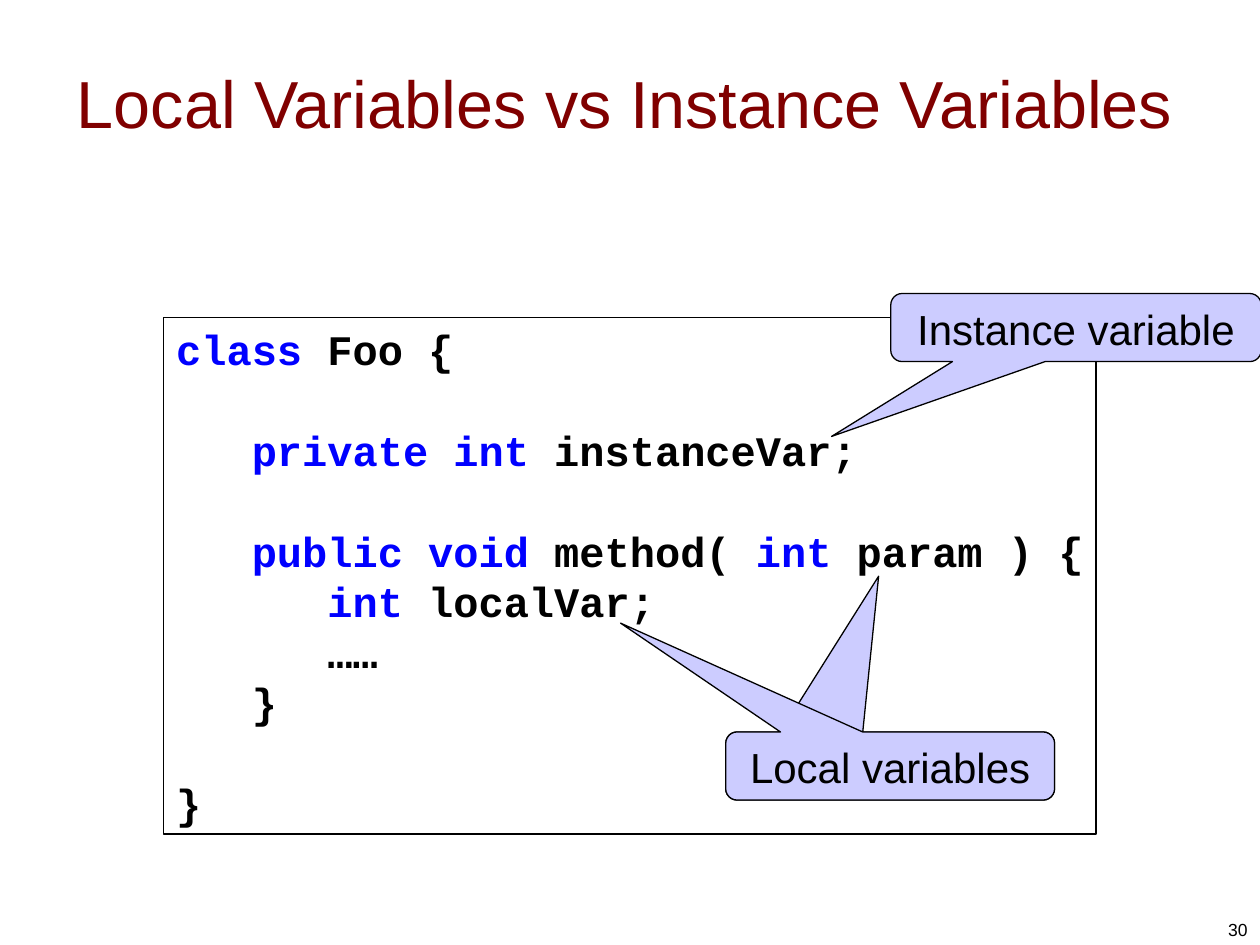
"""Build a slide contrasting local variables with instance variables."""
import dataclasses
import typing

import pptx
import pptx.dml.color
import pptx.enum.shapes
import pptx.enum.text
import pptx.util

Inches = pptx.util.Inches
Pt = pptx.util.Pt
Align = pptx.enum.text.PP_ALIGN
Anchor = pptx.enum.text.MSO_ANCHOR
Shape = pptx.enum.shapes.MSO_SHAPE


@dataclasses.dataclass(frozen=True)
class Theme:
    title: str = "800000"
    ink: str = "000000"
    keyword: str = "0000FF"
    callout: str = "CCCCFF"
    sans: str = "Arial"
    mono: str = "Courier New"
    title_size: float = 38
    text_size: float = 24
    number_size: float = 10
    line_width: float = 0.75
    code_pitch: float = 28.8
    code_indent: float = 0.6


class Box(typing.NamedTuple):
    left: float
    top: float
    width: float
    height: float

    def lengths(self) -> list:
        return [Inches(value) for value in self]


@dataclasses.dataclass(frozen=True)
class CodeLine:
    segments: tuple
    level: int = 0
    blank_before: bool = False


@dataclasses.dataclass(frozen=True)
class Callout:
    label: str
    box: Box
    pointer: tuple


THEME = Theme()
KEYWORDS = {"class", "private", "public", "int", "void"}
CODE_BOX = Box(1.3, 2.52, 7.4, 4.1)
CODE = (
    CodeLine(("class", " Foo {")),
    CodeLine(("private int", " instanceVar;"), 1, True),
    CodeLine(("public void", " method( ", "int", " param ) {"), 1, True),
    CodeLine(("int", " localVar;"), 2),
    CodeLine(("……",), 2),
    CodeLine(("}",), 1),
    CodeLine(("}",), 0, True),
)
LOCAL_BOX = Box(5.76, 5.81, 2.61, 0.54)
CALLOUTS = (
    Callout("Instance variable", Box(7.07, 2.33, 2.94, 0.54), (-0.66, 1.6)),
    Callout("Local variables", LOCAL_BOX, (-0.035, -2.79)),
    Callout("Local variables", LOCAL_BOX, (-0.82, -2.1)),
)


def apply(target: typing.Any, values: dict) -> None:
    """Set each named attribute on the target."""
    for name, value in values.items():
        setattr(target, name, value)


def add_run(paragraph: typing.Any, text: str, face: str, size: float,
            color: str, bold: bool = False) -> None:
    """Append a formatted run to the paragraph."""
    run = paragraph.add_run()
    run.text = text
    apply(run.font, {"name": face, "size": Pt(size), "bold": bold})
    run.font.color.rgb = pptx.dml.color.RGBColor.from_string(color)


def set_frame(shape: typing.Any, anchor: typing.Any, right: float = 0.1) -> typing.Any:
    """Set the margins and anchor of a text frame and return it."""
    frame = shape.text_frame
    apply(frame, {
        "word_wrap": True,
        "auto_size": pptx.enum.text.MSO_AUTO_SIZE.NONE,
        "vertical_anchor": anchor,
        "margin_left": Inches(0.1),
        "margin_right": Inches(right),
        "margin_top": Inches(0.05),
        "margin_bottom": Inches(0.05),
    })
    return frame


def add_outlined(slide: typing.Any, kind: typing.Any, box: Box) -> typing.Any:
    """Add a preset shape with a thin outline and no shadow."""
    shape = slide.shapes.add_shape(kind, *box.lengths())
    shape.shadow.inherit = False
    shape.line.width = Pt(THEME.line_width)
    shape.line.color.rgb = pptx.dml.color.RGBColor.from_string(THEME.ink)
    return shape


def add_title(slide: typing.Any, text: str, box: Box) -> None:
    """Place and fill the title placeholder."""
    title = slide.shapes.title
    apply(title, dict(zip(("left", "top", "width", "height"), box.lengths())))
    paragraph = set_frame(title, Anchor.MIDDLE).paragraphs[0]
    paragraph.alignment = Align.LEFT
    add_run(paragraph, text, THEME.sans, THEME.title_size, THEME.title)


def add_code(slide: typing.Any, lines: tuple, box: Box) -> None:
    """Draw the code listing with coloured keywords."""
    panel = add_outlined(slide, Shape.RECTANGLE, box)
    panel.fill.background()
    frame = set_frame(panel, Anchor.TOP, right=0)
    for index, line in enumerate(lines):
        paragraph = frame.add_paragraph() if index else frame.paragraphs[0]
        apply(paragraph, {
            "alignment": Align.LEFT,
            "line_spacing": Pt(THEME.code_pitch),
            "space_before": Pt(THEME.code_pitch * line.blank_before),
        })
        properties = paragraph._p.get_or_add_pPr()
        properties.set("marL", str(Inches(THEME.code_indent * line.level)))
        properties.set("indent", "0")
        for segment in line.segments:
            is_keyword = set(segment.split()) <= KEYWORDS
            color = THEME.keyword if is_keyword else THEME.ink
            add_run(paragraph, segment, THEME.mono, THEME.text_size, color, True)


def add_callout(slide: typing.Any, callout: Callout) -> None:
    """Draw a rounded callout pointing into the code."""
    bubble = add_outlined(slide, Shape.ROUNDED_RECTANGULAR_CALLOUT, callout.box)
    bubble.fill.solid()
    bubble.fill.fore_color.rgb = pptx.dml.color.RGBColor.from_string(THEME.callout)
    for index, value in enumerate(callout.pointer):
        bubble.adjustments[index] = value
    paragraph = set_frame(bubble, Anchor.TOP).paragraphs[0]
    paragraph.alignment = Align.CENTER
    add_run(paragraph, callout.label, THEME.sans, THEME.text_size, THEME.ink)


def add_page_number(slide: typing.Any, number: str, box: Box) -> None:
    """Write the page number in the bottom right corner."""
    footer = slide.shapes.add_textbox(*box.lengths())
    paragraph = set_frame(footer, Anchor.BOTTOM).paragraphs[0]
    paragraph.alignment = Align.RIGHT
    add_run(paragraph, number, THEME.sans, THEME.number_size, THEME.ink)


def main() -> None:
    """Assemble and save the slide."""
    deck = pptx.Presentation()
    apply(deck, {"slide_width": Inches(10), "slide_height": Inches(7.5)})
    slide = deck.slides.add_slide(deck.slide_layouts.get_by_name("Title Only"))
    add_title(slide, "Local Variables vs Instance Variables", Box(0.51, 0.18, 9, 1.25))
    add_code(slide, CODE, CODE_BOX)
    for callout in CALLOUTS:
        add_callout(slide, callout)
    add_page_number(slide, "30", Box(7.67, 7.01, 2.33, 0.5))
    deck.save("out.pptx")


if __name__ == "__main__":
    main()
